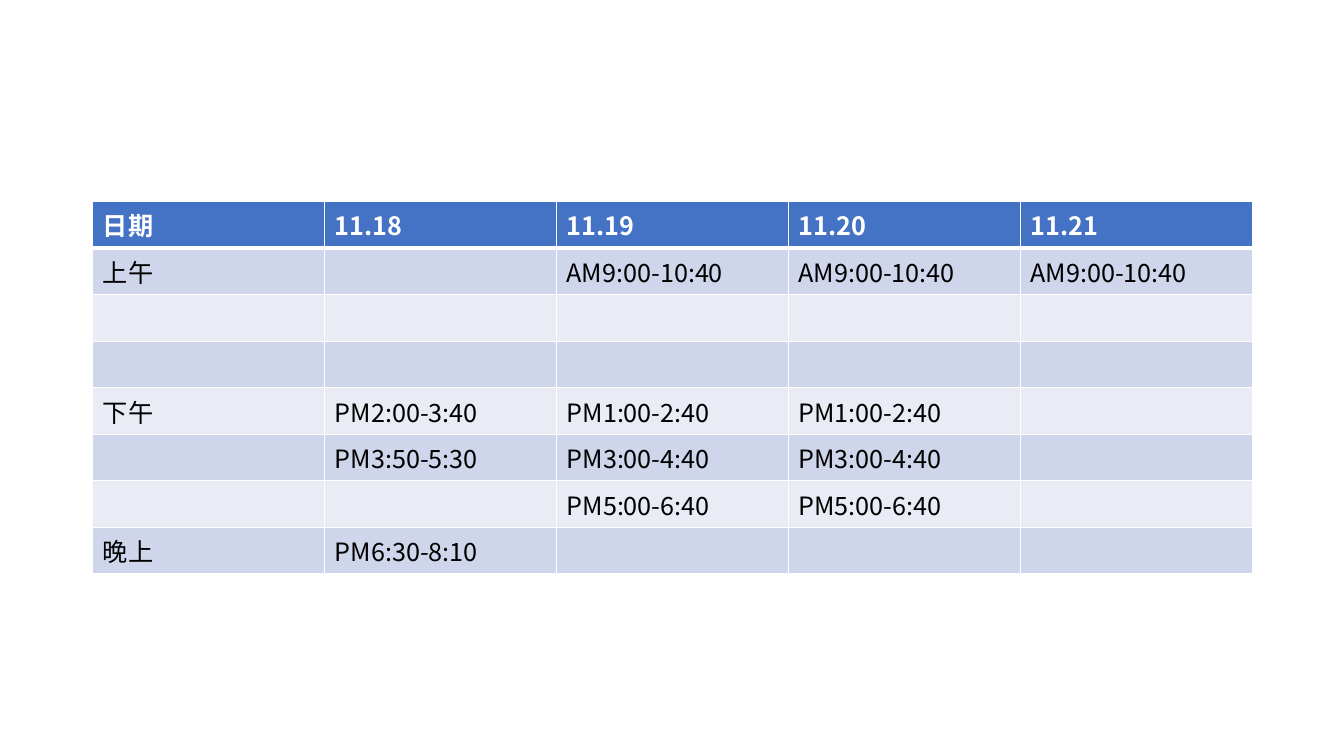
import lxml.etree
import pptx
import pptx.dml.color
import pptx.oxml.ns
import pptx.util

COLORS = {"header": "4472C4", "odd": "CFD5EA", "even": "E9EBF5",
          "white": "FFFFFF", "black": "000000"}
FONT = "Noto Sans CJK SC"
SCHEDULE = [
    ["日期", "11.18", "11.19", "11.20", "11.21"],
    ["上午", "", "AM9:00-10:40", "AM9:00-10:40", "AM9:00-10:40"],
    ["", "", "", "", ""],
    ["", "", "", "", ""],
    ["下午", "PM2:00-3:40", "PM1:00-2:40", "PM1:00-2:40", ""],
    ["", "PM3:50-5:30", "PM3:00-4:40", "PM3:00-4:40", ""],
    ["", "", "PM5:00-6:40", "PM5:00-6:40", ""],
    ["晚上", "PM6:30-8:10", "", "", ""],
]


def rgb(name):
    """Return the named colour."""
    return pptx.dml.color.RGBColor.from_string(COLORS[name])


def add_element(parent, tag, **attrs):
    """Append a DrawingML element and return it."""
    return lxml.etree.SubElement(parent, pptx.oxml.ns.qn(tag), **attrs)


def set_borders(cell, widths):
    """Draw white cell borders with the given point widths by side."""
    tc_pr = cell._tc.get_or_add_tcPr()
    for side, width in widths.items():
        ln = add_element(tc_pr, f"a:ln{side}", w=str(pptx.util.Pt(width)))
        fill = add_element(ln, "a:solidFill")
        add_element(fill, "a:srgbClr", val=COLORS["white"])


def write_cell(cell, text, header):
    """Write the text of one cell in header or body style."""
    p = cell.text_frame.paragraphs[0]
    r = p.add_run()
    r.text = text
    style = {"name": FONT, "size": pptx.util.Pt(18), "bold": header}
    for key, value in style.items():
        setattr(r.font, key, value)
    r.font.color.rgb = rgb("white" if header else "black")
    add_element(r.font._element, "a:ea", typeface=FONT)


def add_schedule(s, left, top, width, height):
    """Place the timetable in the given box."""
    n_rows, n_cols = len(SCHEDULE), len(SCHEDULE[0])
    frame = s.shapes.add_table(n_rows, n_cols, left, top, width, height)
    table = frame.table
    for i, texts in enumerate(SCHEDULE):
        table.rows[i].height = int(height / n_rows)
        band = "header" if i == 0 else "odd" if i % 2 else "even"
        widths = {"L": 1, "R": 1, "T": 3 if i == 1 else 1, "B": 3 if i == 0 else 1}
        for j, text in enumerate(texts):
            cell = table.cell(i, j)
            set_borders(cell, widths)
            cell.fill.solid()
            cell.fill.fore_color.rgb = rgb(band)
            if text:
                write_cell(cell, text, i == 0)


def main():
    """Build and save the timetable slide."""
    prs = pptx.Presentation()
    prs.slide_width = pptx.util.Inches(13.33)
    prs.slide_height = pptx.util.Inches(7.5)
    s = prs.slides.add_slide(prs.slide_layouts[6])
    add_schedule(s, pptx.util.Inches(0.92), pptx.util.Inches(2),
                 pptx.util.Inches(11.5), pptx.util.Inches(3.69))
    prs.save("out.pptx")


if __name__ == "__main__":
    main()
